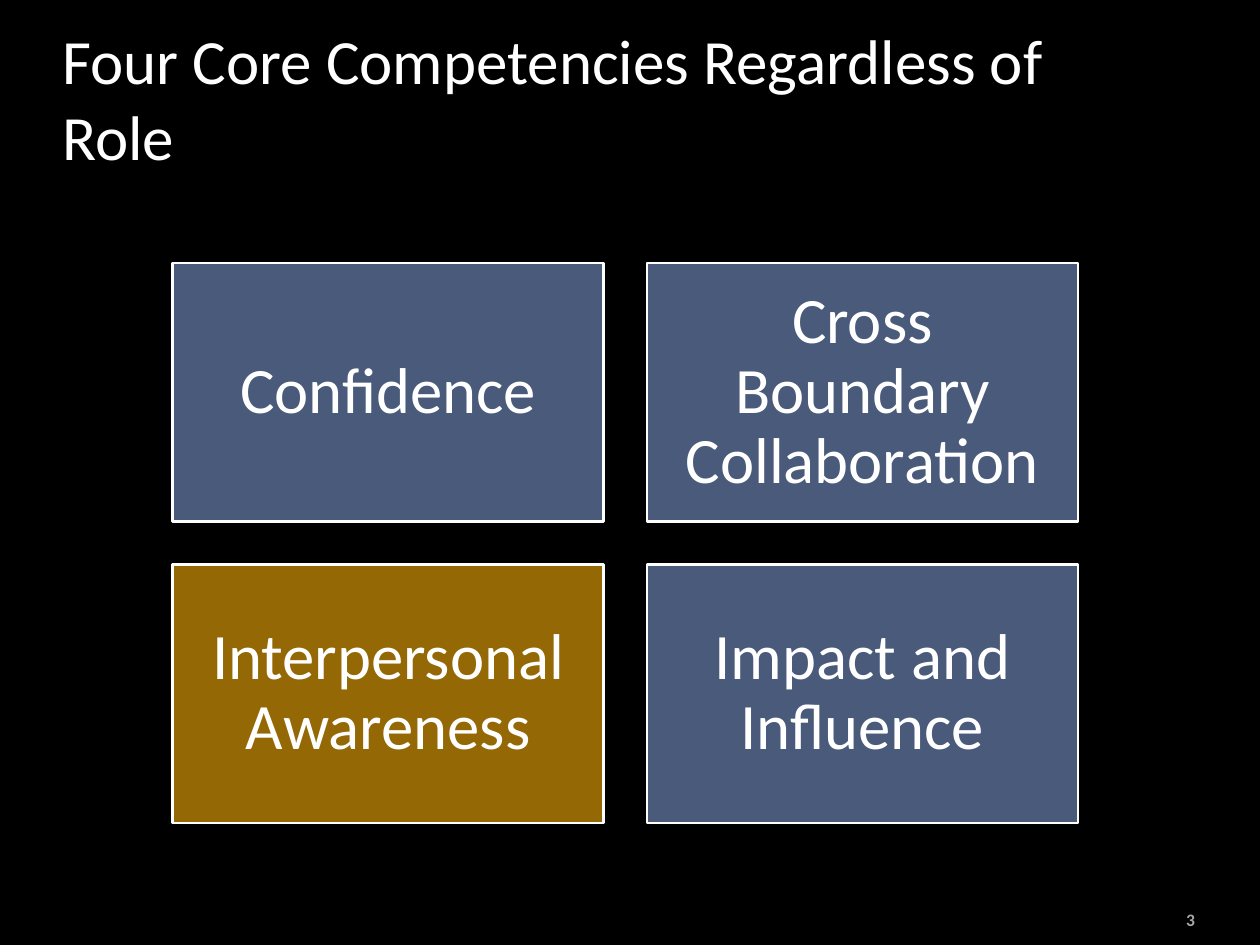
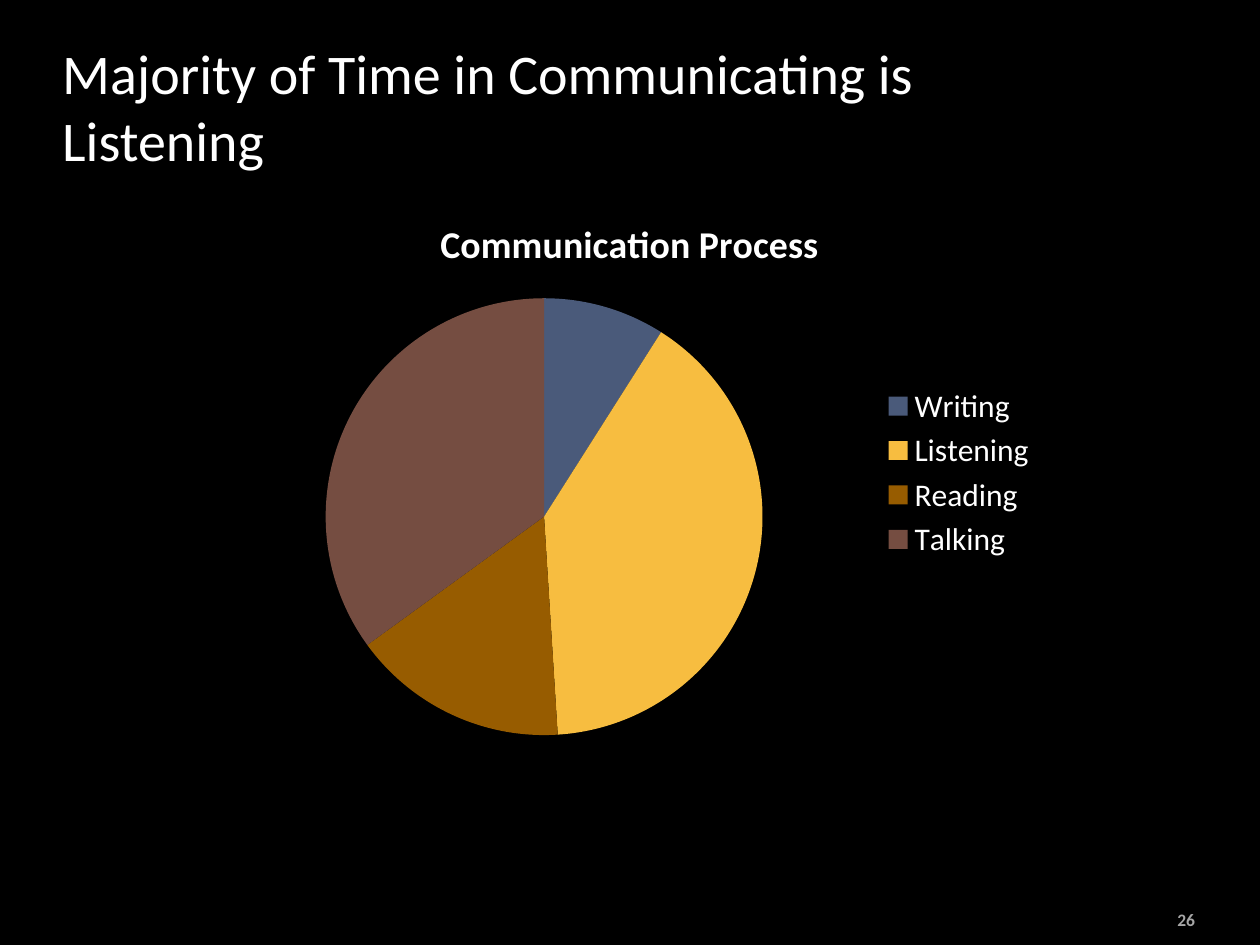
from dataclasses import dataclass

from pptx import Presentation
from pptx.chart.data import CategoryChartData
from pptx.dml.color import RGBColor
from pptx.enum.chart import XL_CHART_TYPE, XL_LEGEND_POSITION
from pptx.enum.shapes import MSO_SHAPE
from pptx.enum.text import MSO_ANCHOR, MSO_AUTO_SIZE, PP_ALIGN
from pptx.util import Cm, Pt


@dataclass(frozen=True)
class Theme:
    font: str = "Calibri"
    background: str = "000000"
    text: str = "FFFFFF"
    muted: str = "A6A6A6"
    blue: str = "4A5A7A"
    ochre: str = "956806"
    yellow: str = "F7BD40"
    brown: str = "975C00"
    russet: str = "754D41"
    box_size: float = 37
    chart_title_size: float = 21.6
    legend_size: float = 18
    number_size: float = 10


THEME = Theme()

# Content
COMPETENCIES = {
    "title": "Four Core Competencies Regardless of Role",
    "title_size": 36,
    "number": "3",
    "boxes": [
        ("Confidence", THEME.blue),
        ("Cross Boundary Collaboration", THEME.blue),
        ("Interpersonal Awareness", THEME.ochre),
        ("Impact and Influence", THEME.blue),
    ],
}
COMMUNICATION = {
    "title": "Majority of Time in Communicating is Listening",
    "title_size": 32,
    "number": "26",
    "chart_title": "Communication Process",
    "slices": [
        ("Writing", 9, THEME.blue),
        ("Listening", 40, THEME.yellow),
        ("Reading", 16, THEME.brown),
        ("Talking", 35, THEME.russet),
    ],
}

# Geometry in centimetres: left, top, width, height
TITLE_AREA = (1, 0.64, 21.34, 2.97)
NUMBER_AREA = (21.9, 18.19, 2.44, 0.69)
CHART_AREA = (4.23, 3.89, 16.93, 11.28)
GRID_LEFT, GRID_TOP, GRID_COLUMNS = 3.48, 5.3, 2
BOX_WIDTH, BOX_HEIGHT, BOX_GAP, BOX_INSET = 8.69, 5.21, 0.87, 0.38


def area(values):
    return [Cm(value) for value in values]


def color(value):
    return RGBColor.from_string(value)


def write_text(frame, text, *, size, fill=THEME.text, bold=False, align=None,
               anchor=None, inset=None, line_spacing=None, space_before=None):
    if anchor is not None:
        frame.word_wrap = True
        frame.auto_size = MSO_AUTO_SIZE.NONE
        frame.vertical_anchor = anchor
    if inset is not None:
        frame.margin_left = frame.margin_right = Cm(inset)
        frame.margin_top = frame.margin_bottom = Cm(inset)
    paragraph = frame.paragraphs[0]
    if align is not None:
        paragraph.alignment = align
    if line_spacing is not None:
        paragraph.line_spacing = line_spacing
    if space_before is not None:
        paragraph.space_before = Pt(space_before)
    run = paragraph.add_run()
    run.text = text
    format_font(run.font, size, fill, bold)


def format_font(font, size, fill=THEME.text, bold=False):
    font.name, font.size, font.bold = THEME.font, Pt(size), bold
    font.color.rgb = color(fill)


def add_slide(presentation, content):
    """Add a slide with the shared title and page number."""
    slide = presentation.slides.add_slide(
        presentation.slide_layouts.get_by_name("Title Only"))
    title = slide.shapes.title
    title.left, title.top, title.width, title.height = area(TITLE_AREA)
    write_text(title.text_frame, content["title"], size=content["title_size"],
               align=PP_ALIGN.LEFT, anchor=MSO_ANCHOR.BOTTOM, space_before=4)
    number = slide.shapes.add_textbox(*area(NUMBER_AREA))
    write_text(number.text_frame, content["number"], size=THEME.number_size,
               fill=THEME.muted, bold=True, align=PP_ALIGN.RIGHT,
               anchor=MSO_ANCHOR.MIDDLE)
    return slide


def add_box_grid(slide, boxes):
    for index, (text, fill) in enumerate(boxes):
        row, column = divmod(index, GRID_COLUMNS)
        left = GRID_LEFT + column * (BOX_WIDTH + BOX_GAP)
        top = GRID_TOP + row * (BOX_HEIGHT + BOX_GAP)
        box = slide.shapes.add_shape(
            MSO_SHAPE.RECTANGLE, *area((left, top, BOX_WIDTH, BOX_HEIGHT)))
        box.shadow.inherit = False
        box.fill.solid()
        box.fill.fore_color.rgb = color(fill)
        box.line.color.rgb = color(THEME.text)
        box.line.width = Pt(1.5)
        write_text(box.text_frame, text, size=THEME.box_size,
                   align=PP_ALIGN.CENTER, anchor=MSO_ANCHOR.MIDDLE,
                   inset=BOX_INSET, line_spacing=0.9)


def add_pie(slide, title, slices):
    names, values, fills = zip(*slices)
    data = CategoryChartData()
    data.categories = names
    data.add_series(title, values)
    chart = slide.shapes.add_chart(
        XL_CHART_TYPE.PIE, *area(CHART_AREA), data).chart
    format_font(chart.font, THEME.legend_size)
    chart.has_title = True
    write_text(chart.chart_title.text_frame, title,
               size=THEME.chart_title_size, bold=True)
    chart.has_legend = True
    chart.legend.position = XL_LEGEND_POSITION.RIGHT
    chart.legend.include_in_layout = False
    format_font(chart.legend.font, THEME.legend_size)
    plot = chart.plots[0]
    plot.vary_by_categories = True
    for index, fill in enumerate(fills):
        point_fill = plot.series[0].points[index].format.fill
        point_fill.solid()
        point_fill.fore_color.rgb = color(fill)


presentation = Presentation()
presentation.slide_width, presentation.slide_height = Cm(25.4), Cm(19.05)

# Shared black background
background = presentation.slide_master.background.fill
background.solid()
background.fore_color.rgb = color(THEME.background)

# Slides
slide = add_slide(presentation, COMPETENCIES)
add_box_grid(slide, COMPETENCIES["boxes"])

slide = add_slide(presentation, COMMUNICATION)
add_pie(slide, COMMUNICATION["chart_title"], COMMUNICATION["slices"])

presentation.save("out.pptx")
